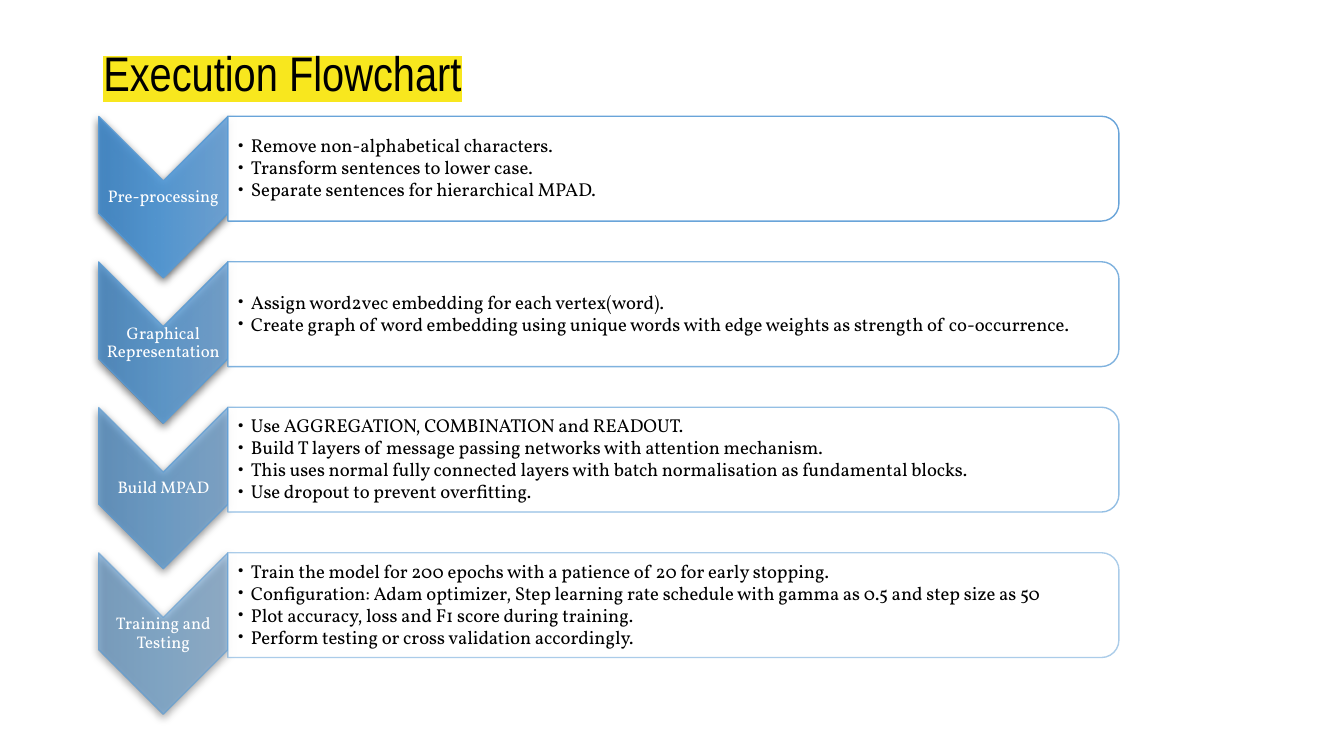
"""Builds the execution flowchart slide: four chevron steps with detail panels."""
import pptx
import pptx.dml.color
import pptx.enum.shapes
import pptx.enum.text
import pptx.oxml
import pptx.oxml.ns
import pptx.util
from lxml import etree

PX = 2286
PITCH = 433
COLOURS = {
    "ink": "000000",
    "paper": "FFFFFF",
    "edge": "599BD5",
    "light": "6EA5DA",
    "middle": "529BDA",
    "deep": "4188C8",
    "marker": "F8E71E",
}
STEPS = [
    ("Pre-processing", 90, [
        "Remove non-alphabetical characters.",
        "Transform sentences to lower case.",
        "Separate sentences for hierarchical MPAD.",
    ]),
    ("Graphical Representation", 77, [
        "Assign word2vec embedding for each vertex(word).",
        "Create graph of word embedding using unique words with edge weights as strength of co-occurrence.",
    ]),
    ("Build MPAD", 63, [
        "Use AGGREGATION, COMBINATION and READOUT.",
        "Build T layers of message passing networks with attention mechanism.",
        "This uses normal fully connected layers with batch normalisation as fundamental blocks.",
        "Use dropout to prevent overfitting.",
    ]),
    ("Training and Testing", 50, [
        "Train the model for 200 epochs with a patience of 20 for early stopping.",
        "Configuration: Adam optimizer, Step learning rate schedule with gamma as 0.5 and step size as 50",
        "Plot accuracy, loss and F1 score during training.",
        "Perform testing or cross validation accordingly.",
    ]),
]


def add(parent, tag, **attributes):
    element = etree.SubElement(parent, pptx.oxml.ns.qn(tag))
    for name, value in attributes.items():
        element.set(name, str(value))
    return element


def add_colour(parent, name, alpha=100):
    colour = add(parent, "a:srgbClr", val=COLOURS[name])
    if alpha < 100:
        add(colour, "a:alpha", val=alpha * 1000)


def rgb(name):
    return pptx.dml.color.RGBColor.from_string(COLOURS[name])


class FlowSlide:
    """Holds the fonts and the page, and draws each kind of element."""

    body_font = "Vollkorn"
    title_font = "Arial Narrow"

    def __init__(self, page):
        self.page = page

    def turned(self, kind, left, top, width, height, adjustments, alpha):
        shape = self.page.shapes.add_shape(
            kind, left * PX, top * PX, width * PX, height * PX)
        shape.rotation = 90
        for index, value in enumerate(adjustments):
            shape.adjustments[index] = value
        shape.shadow.inherit = False
        shape.line.width = pptx.util.Pt(0.75)
        shape.line.color.rgb = rgb("edge")
        for colour in shape.line._ln.iter(pptx.oxml.ns.qn("a:srgbClr")):
            add(colour, "a:alpha", val=alpha * 1000)
        return shape

    def chevron(self, top, alpha):
        kind = pptx.enum.shapes.MSO_SHAPE.CHEVRON
        shape = self.turned(kind, 246, top, 480, 384, [0.5], alpha)
        shape.fill.gradient()
        shape.fill.gradient_angle = 270
        properties = shape._element.spPr
        stops = properties.find(".//" + pptx.oxml.ns.qn("a:gsLst"))
        for stop in list(stops):
            stops.remove(stop)
        for position, name in ((0, "light"), (50, "middle"), (100, "deep")):
            add_colour(add(stops, "a:gs", pos=position * 1000), name, alpha)
        effects = properties.find(pptx.oxml.ns.qn("a:effectLst"))
        shadow = add(effects, "a:outerShdw", blurRad=pptx.util.Pt(4.5),
                     dist=pptx.util.Pt(1.5), dir=5400000, algn="ctr",
                     rotWithShape=0)
        add_colour(shadow, "ink", 63)

    def panel(self, top, alpha):
        kind = pptx.enum.shapes.MSO_SHAPE.ROUND_2_SAME_RECTANGLE
        shape = self.turned(kind, 1848, top, 312, 2652, [0.167, 0], alpha)
        shape.fill.solid()
        shape.fill.fore_color.rgb = rgb("paper")
        fill = shape._element.spPr.find(pptx.oxml.ns.qn("a:solidFill"))
        add(fill[0], "a:alpha", val=90000)

    def text(self, place, lines, size, font, colour, insets):
        left, top, width, height = place
        box = self.page.shapes.add_textbox(
            left * PX, top * PX, width * PX, height * PX)
        frame = box.text_frame
        frame.word_wrap = True
        (frame.margin_left, frame.margin_top, frame.margin_right,
         frame.margin_bottom) = [inset * PX for inset in insets]
        frame.text = "\n".join(lines)
        for para in frame.paragraphs:
            for span in para.runs:
                span.font.size = pptx.util.Pt(size)
                span.font.name = font
                span.font.color.rgb = rgb(colour)
        return frame

    def title(self, words):
        frame = self.text((268, 88, 2316, 256), [words], 26, self.title_font,
                          "ink", (40, 40, 40, 40))
        properties = frame.paragraphs[0].runs[0].font._element
        highlight = add(properties, "a:highlight")
        add_colour(highlight, "marker")
        properties.find(pptx.oxml.ns.qn("a:solidFill")).addnext(highlight)

    def label(self, top, words):
        frame = self.text((294, top, 384, 144), [words], 9, self.body_font,
                          "paper", (4, 4, 4, 4))
        frame.vertical_anchor = pptx.enum.text.MSO_ANCHOR.MIDDLE
        para = frame.paragraphs[0]
        para.alignment = pptx.enum.text.PP_ALIGN.CENTER
        para.line_spacing = 0.9

    def bullets(self, top, lines):
        frame = self.text((675, top, 2636, 280), lines, 10, self.body_font,
                          "ink", (32, 4, 4, 4))
        frame.vertical_anchor = pptx.enum.text.MSO_ANCHOR.MIDDLE
        for index, para in enumerate(frame.paragraphs):
            para.level = 1
            para.line_spacing = 0.9
            para.space_before = pptx.util.Pt(min(index, 1))
            properties = para._p.get_or_add_pPr()
            properties.set("marL", str(40 * PX))
            properties.set("indent", str(-40 * PX))
            add_colour(add(properties, "a:buClr"), "ink")
            add(properties, "a:buFont", typeface=self.body_font)
            add(properties, "a:buChar", char="•")

    def step(self, index, name, alpha, lines):
        shift = index * PITCH
        self.chevron(395 + shift, alpha)
        self.label(515 + shift, name)
        self.panel(-824 + shift, alpha)
        self.bullets(362 + shift, lines)


def main():
    deck = pptx.Presentation()
    deck.slide_width = 4000 * PX
    deck.slide_height = 2250 * PX
    flow = FlowSlide(deck.slides.add_slide(deck.slide_layouts[6]))
    for index, (name, alpha, lines) in enumerate(STEPS):
        flow.step(index, name, alpha, lines)
    flow.title("Execution Flowchart")
    deck.save("out.pptx")


if __name__ == "__main__":
    main()
